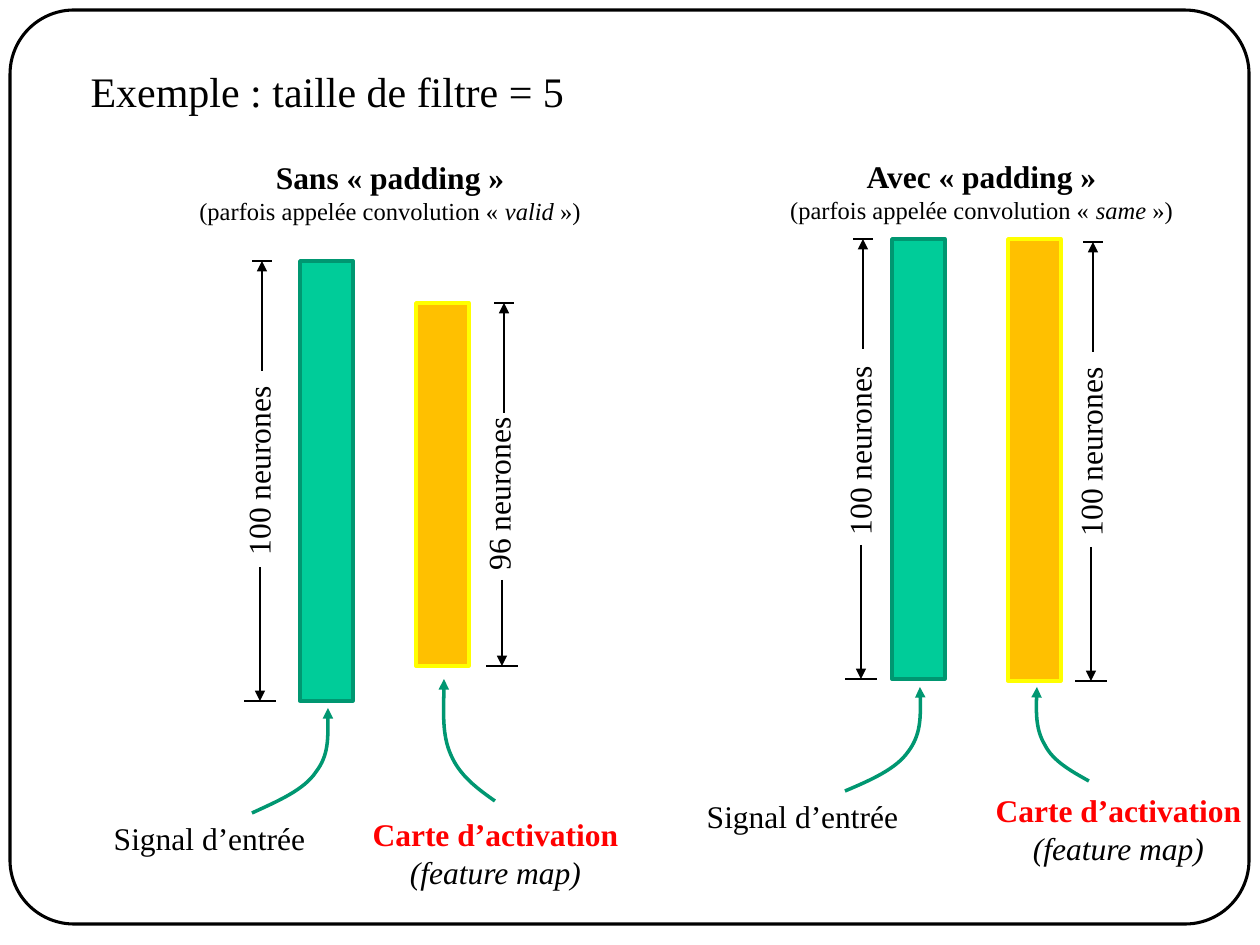
import pptx
import pptx.dml.color
import pptx.enum.shapes
import pptx.enum.text
import pptx.oxml
import pptx.oxml.ns
import pptx.util
from lxml import etree

BLACK = pptx.dml.color.RGBColor(0x00, 0x00, 0x00)
RED = pptx.dml.color.RGBColor(0xFF, 0x00, 0x00)
GREEN = pptx.dml.color.RGBColor(0x00, 0xCC, 0x99)
DARK_GREEN = pptx.dml.color.RGBColor(0x00, 0x97, 0x71)
ORANGE = pptx.dml.color.RGBColor(0xFF, 0xC0, 0x00)
YELLOW = pptx.dml.color.RGBColor(0xFF, 0xFF, 0x00)
FONT = "Times New Roman"
PX = 914400 / 126

TITLE = "Exemple : taille de filtre = 5"
SIGNAL = "Signal d’entrée"
MAP = ("Carte d’activation", "(feature map)")
FRAME = (10, 10, 1239, 914)

# Boxes are left, top, width, height. A curve is a start and two Bézier pieces.
# A dimension is label, label width, label centre, x, top, lower start, bottom.
PANELS = [
    {
        "heading": ("Sans « padding »", "valid", (185, 152, 410, 81)),
        "input_bar": (300, 261, 53, 440),
        "map_bar": (416, 303, 53, 363),
        "signal": (100, 813, 219, 50),
        "map": (359, 809, 273, 89),
        "curves": [
            [(252, 813), (278, 801), (304, 790), (316, 772), (329, 755), (328, 732), (328, 708)],
            [(495, 801), (478, 789), (460, 776), (451, 755), (442, 735), (444, 707), (444, 679)],
        ],
        "dimensions": [
            ("100 neurones", 197, (258, 469), 262, 261, 567, 701),
            ("96 neurones", 180, (498, 493), 504, 303, 580, 666),
        ],
    },
    {
        "heading": ("Avec « padding »", "same", (776, 151, 411, 81)),
        "input_bar": (892, 239, 53, 440),
        "map_bar": (1008, 239, 53, 442),
        "signal": (693, 791, 219, 50),
        "map": (982, 785, 273, 89),
        "curves": [
            [(845, 791), (871, 780), (896, 769), (908, 752), (921, 735), (921, 711), (920, 687)],
            [(1089, 781), (1071, 771), (1053, 761), (1045, 745), (1036, 730), (1036, 708), (1037, 687)],
        ],
        "dimensions": [
            ("100 neurones", 197, (859, 449), 863, 239, 545, 679),
            ("100 neurones", 197, (1090, 450), 1093, 242, 547, 681),
        ],
    },
]


def emu(*lengths):
    return [round(length * PX) for length in lengths]


def add_run(paragraph, text, size=18, color=BLACK, bold=False, italic=False):
    run = paragraph.add_run()
    run.text = text
    font = run.font
    font.name, font.size, font.bold, font.italic = FONT, pptx.util.Pt(size), bold, italic
    font.color.rgb = color


def add_text(slide, box, lines, centred=True, rotation=0):
    """Each line is a list of (text, format) runs."""
    shape = slide.shapes.add_textbox(*emu(*box))
    shape.rotation = rotation
    frame = shape.text_frame
    frame.word_wrap = False
    for index, runs in enumerate(lines):
        paragraph = frame.add_paragraph() if index else frame.paragraphs[0]
        if centred:
            paragraph.alignment = pptx.enum.text.PP_ALIGN.CENTER
        for text, formats in runs:
            add_run(paragraph, text, **formats)


def add_box(slide, kind, box, fill, line, width):
    shape = slide.shapes.add_shape(kind, *emu(*box))
    shape.shadow.inherit = False
    if fill is None:
        shape.fill.background()
    else:
        shape.fill.solid()
        shape.fill.fore_color.rgb = fill
    shape.line.color.rgb = line
    shape.line.width = pptx.util.Pt(width)
    return shape


def add_arrowhead(shape):
    outline = shape._element.spPr.get_or_add_ln()
    etree.SubElement(outline, pptx.oxml.ns.qn("a:tailEnd"), type="triangle")


def add_line(slide, start, end, arrow=False):
    connector = slide.shapes.add_connector(
        pptx.enum.shapes.MSO_CONNECTOR.STRAIGHT, *emu(*start, *end))
    connector.line.color.rgb = BLACK
    connector.line.width = pptx.util.Pt(0.75)
    if arrow:
        add_arrowhead(connector)
    etree.SubElement(connector._element.spPr, pptx.oxml.ns.qn("a:effectLst"))


def add_curve(slide, points):
    """Draws line segments, then turns each three of them into one Bézier piece."""
    qn = pptx.oxml.ns.qn
    builder = slide.shapes.build_freeform(*points[0], scale=PX)
    builder.add_line_segments(points[1:], close=False)
    shape = builder.convert_to_shape()
    shape.shadow.inherit = False
    shape.fill.background()
    shape.line.color.rgb = DARK_GREEN
    shape.line.width = pptx.util.Pt(2)
    add_arrowhead(shape)
    outline = next(shape._element.iter(qn("a:path")))
    segments = outline.findall(qn("a:lnTo"))
    for first in range(0, len(segments), 3):
        bezier = etree.SubElement(outline, qn("a:cubicBezTo"))
        for segment in segments[first:first + 3]:
            bezier.append(segment[0])
            outline.remove(segment)


def add_dimension(slide, label, length, centre, x, top, lower_start, bottom):
    lower_x = x - 2
    box = (centre[0] - length / 2, centre[1] - 25, length, 50)
    add_text(slide, box, [[(label, {})]], centred=False, rotation=270)
    add_line(slide, (x, top + 110), (x, top), arrow=True)
    add_line(slide, (x + 10, top), (x - 10, top))
    add_line(slide, (lower_x, lower_start), (lower_x, bottom), arrow=True)
    add_line(slide, (lower_x + 16, bottom), (lower_x - 16, bottom))


def add_panel(slide, panel):
    rectangle = pptx.enum.shapes.MSO_SHAPE.RECTANGLE
    name, mode, box = panel["heading"]
    small = {"size": 14}
    add_text(slide, box, [
        [(name, {"bold": True})],
        [("(parfois appelée convolution « ", small),
         (mode, {"size": 14, "italic": True}), (" »)", small)],
    ])
    add_box(slide, rectangle, panel["input_bar"], GREEN, DARK_GREEN, 2)
    add_box(slide, rectangle, panel["map_bar"], ORANGE, YELLOW, 2)
    add_text(slide, panel["signal"], [[(SIGNAL, {})]])
    add_text(slide, panel["map"], [
        [(MAP[0], {"bold": True, "color": RED})], [(MAP[1], {"italic": True})]])
    for points in panel["curves"]:
        add_curve(slide, points)
    for dimension in panel["dimensions"]:
        add_dimension(slide, *dimension)


def main():
    presentation = pptx.Presentation()
    presentation.slide_width, presentation.slide_height = emu(1260, 945)
    slide = presentation.slides.add_slide(presentation.slide_layouts[5])

    title = slide.shapes.title
    title.left, title.top, title.width, title.height = emu(78, 59, 503, 63)
    title.text_frame.word_wrap = False
    title.text_frame.vertical_anchor = pptx.enum.text.MSO_ANCHOR.TOP
    paragraph = title.text_frame.paragraphs[0]
    paragraph.alignment = pptx.enum.text.PP_ALIGN.LEFT
    add_run(paragraph, TITLE, size=24)

    frame = add_box(slide, pptx.enum.shapes.MSO_SHAPE.ROUNDED_RECTANGLE,
                    FRAME, None, BLACK, 1.75)
    frame.adjustments[0] = 0.07
    for panel in PANELS:
        add_panel(slide, panel)
    presentation.save("out.pptx")


if __name__ == "__main__":
    main()
